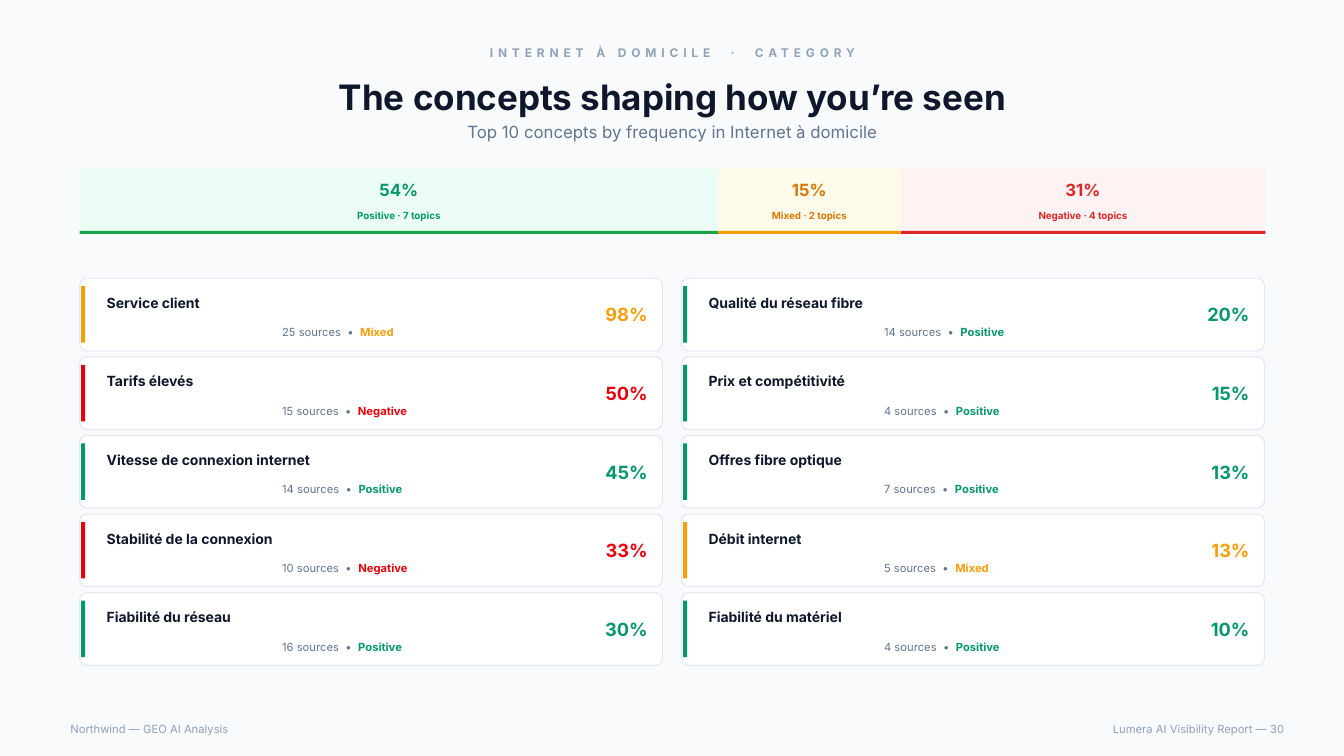
from pptx import Presentation
from pptx import util as u
from pptx.dml.color import RGBColor
from pptx.enum import shapes, text

COLOURS = {
    "page": "F8FAFC", "card": "FFFFFF", "border": "E2E8F0",
    "ink": "0F172A", "muted": "62748E", "faint": "90A1B9",
    "Positive": "059669", "Mixed": "F59E0B", "Negative": "E7000B",
}
SUMMARY = [
    ("Positive", "54%", 7, {"tint": "ECFDF5", "rule": "16A34A", "label": "059669"}),
    ("Mixed", "15%", 2, {"tint": "FFFBEB", "rule": "F59E0B", "label": "D97706"}),
    ("Negative", "31%", 4, {"tint": "FEF2F2", "rule": "DC2626", "label": "DC2626"}),
]
CONCEPTS = [
    ("Service client", 25, "Mixed", "98%"),
    ("Tarifs élevés", 15, "Negative", "50%"),
    ("Vitesse de connexion internet", 14, "Positive", "45%"),
    ("Stabilité de la connexion", 10, "Negative", "33%"),
    ("Fiabilité du réseau", 16, "Positive", "30%"),
    ("Qualité du réseau fibre", 14, "Positive", "20%"),
    ("Prix et compétitivité", 4, "Positive", "15%"),
    ("Offres fibre optique", 7, "Positive", "13%"),
    ("Débit internet", 5, "Mixed", "13%"),
    ("Fiabilité du matériel", 4, "Positive", "10%"),
]
LEFT, SUMMARY_TOP, SUMMARY_WIDTH = 0.79, 1.67, 11.76
CARD_TOP, CARD_WIDTH, CARD_HEIGHT = 2.76, 5.78, 0.72
COLUMN_STEP, ROW_STEP, ROWS = 5.97, 0.78, 5
CORNER = 0.07
CENTER, RIGHT = text.PP_ALIGN.CENTER, text.PP_ALIGN.RIGHT
MIDDLE, TOP = text.MSO_ANCHOR.MIDDLE, text.MSO_ANCHOR.TOP


class ConceptSlide:
    font = "Inter"

    def __init__(self, deck):
        self.slide = deck.slides.add_slide(deck.slide_layouts[6])

    def box(self, left, top, width, height, fill, border=None, corner=0):
        kind = shapes.MSO_SHAPE.ROUNDED_RECTANGLE if corner else shapes.MSO_SHAPE.RECTANGLE
        panel = self.slide.shapes.add_shape(
            kind, u.Inches(left), u.Inches(top), u.Inches(width), u.Inches(height))
        panel.shadow.inherit = False
        panel.fill.solid()
        panel.fill.fore_color.rgb = RGBColor.from_string(fill)
        if corner:
            panel.adjustments[0] = corner / min(width, height)
        if border:
            panel.line.color.rgb = RGBColor.from_string(border)
            panel.line.width = u.Pt(0.75)
        else:
            panel.line.fill.background()

    def style(self, run, size, colour, bold):
        run.font.name = self.font
        run.font.size = u.Pt(size)
        run.font.bold = bold
        run.font.color.rgb = RGBColor.from_string(colour)

    def label(self, left, top, width, height, words, size, colour, bold=False,
              align=text.PP_ALIGN.LEFT, anchor=MIDDLE, wrap=True, tracking=0):
        frame = self.slide.shapes.add_textbox(
            u.Inches(left), u.Inches(top), u.Inches(width), u.Inches(height)).text_frame
        frame.word_wrap = wrap
        frame.vertical_anchor = anchor
        frame.text = words
        paragraph = frame.paragraphs[0]
        paragraph.alignment = align
        self.style(paragraph.runs[0], size, colour, bold)
        if tracking:
            paragraph.runs[0].font._element.set("spc", str(int(tracking * 100)))
        return paragraph

    def summary_segment(self, left, width, mood, share, topics, palette):
        self.box(left, SUMMARY_TOP, width, 0.65, palette["tint"])
        self.box(left, SUMMARY_TOP + 0.62, width, 0.03, palette["rule"])
        self.label(left, SUMMARY_TOP + 0.07, width, 0.28, share, 12,
                   palette["label"], True, CENTER)
        self.label(left, SUMMARY_TOP + 0.36, width, 0.22, f"{mood} · {topics} topics", 7,
                   palette["label"], True, CENTER)

    def concept_card(self, left, top, concept, sources, mood, share):
        colour = COLOURS[mood]
        self.box(left, top, CARD_WIDTH, CARD_HEIGHT, COLOURS["card"], COLOURS["border"], CORNER)
        self.box(left + 0.015, top + 0.08, 0.04, 0.56, colour)
        self.label(left + 0.17, top + 0.11, 4.53, 0.27, concept, 10,
                   COLOURS["ink"], True, anchor=TOP)
        detail = self.label(left + 1.91, top + 0.42, 2.79, 0.22, f"{sources} sources  •  ", 8,
                            COLOURS["muted"], anchor=TOP)
        verdict = detail.add_run()
        verdict.text = mood
        self.style(verdict, 8, colour, True)
        self.label(left + 5.01, top, 0.72, CARD_HEIGHT, share, 13, colour, True,
                   RIGHT, wrap=False)


def main():
    deck = Presentation()
    deck.slide_width, deck.slide_height = u.Inches(13.33), u.Inches(7.5)
    page = ConceptSlide(deck)

    page.box(0, 0, 13.33, 7.5, COLOURS["page"])
    page.label(0.6, 0.4, 12.14, 0.25, "INTERNET À DOMICILE  ·  CATEGORY", 8.5,
               COLOURS["faint"], True, CENTER, tracking=3.5)
    page.label(0.6, 0.68, 12.14, 0.56, "The concepts shaping how you’re seen", 25,
               COLOURS["ink"], True, CENTER)
    page.label(0.6, 1.18, 12.14, 0.25, "Top 10 concepts by frequency in Internet à domicile",
               12, COLOURS["muted"], align=CENTER)
    page.label(0.6, 7.12, 5.97, 0.22, "Northwind — GEO AI Analysis", 8, COLOURS["faint"])
    page.label(6.81, 7.12, 6.03, 0.22, "Lumera AI Visibility Report — 30", 8,
               COLOURS["faint"], align=RIGHT)

    all_topics = sum(topics for _, _, topics, _ in SUMMARY)
    segment_left = LEFT
    for mood, share, topics, palette in SUMMARY:
        segment_width = SUMMARY_WIDTH * topics / all_topics
        page.summary_segment(segment_left, segment_width, mood, share, topics, palette)
        segment_left += segment_width

    for index, concept in enumerate(CONCEPTS):
        column, row = divmod(index, ROWS)
        page.concept_card(LEFT + column * COLUMN_STEP, CARD_TOP + row * ROW_STEP, *concept)

    deck.save("out.pptx")


if __name__ == "__main__":
    main()
